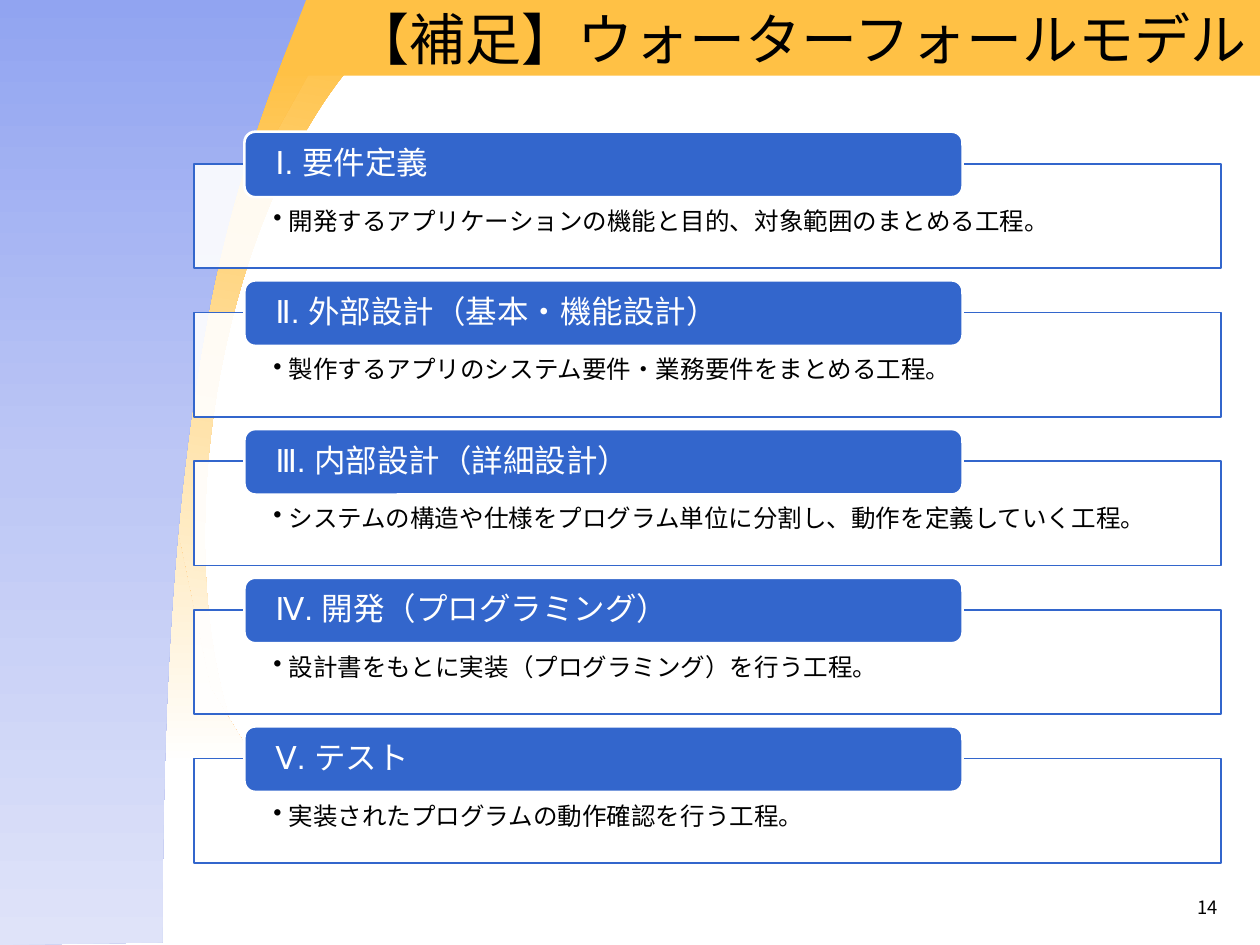
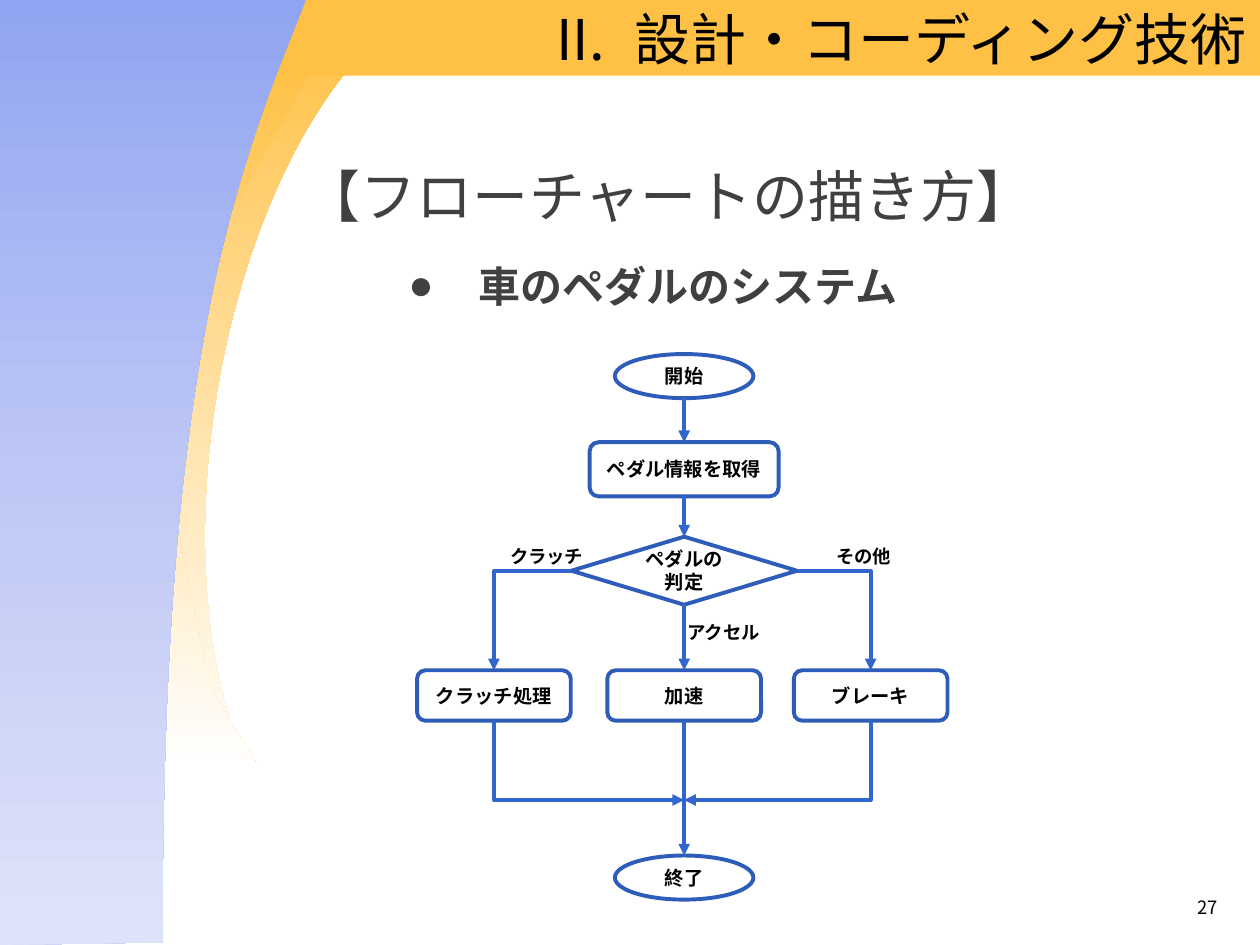
from dataclasses import dataclass
from typing import Any

from pptx import Presentation
from pptx.dml.color import RGBColor
from pptx.enum.shapes import MSO_CONNECTOR, MSO_SHAPE
from pptx.enum.text import MSO_ANCHOR, MSO_AUTO_SIZE, PP_ALIGN
from pptx.oxml import parse_xml
from pptx.oxml.ns import nsdecls, qn
from pptx.util import Inches, Pt

COLORS = {
    "amber": "FFC145", "white": "FFFFFF", "black": "000000", "grey": "404040",
    "blue": "3366CC", "outline": "2D5CB9",
    "sky": "91A4F1", "haze": "BDC7F5", "mist": "DFE3F9",
}
GOTHIC, ARIAL = "Noto Sans CJK JP", "Arial"
COLUMNS, ROWS = 100, 75
TOP, LEFT, BOTTOM, RIGHT = range(4)


@dataclass
class Anchor:
    """A place on the grid, joined to a side of a shape if one is given."""
    x: float
    y: float
    shape: Any = None
    side: int = TOP


def xml(tag, attributes="", inner=""):
    return parse_xml(f"<a:{tag} {nsdecls('a')} {attributes}>{inner}</a:{tag}>")


def bezier(p0, p1, p2, p3, steps=24):
    """Points along a cubic curve, without its first one."""
    for step in range(1, steps + 1):
        t = step / steps
        u = 1 - t
        yield tuple(u**3 * a + 3 * u * u * t * b + 3 * u * t * t * c + t**3 * d
                    for a, b, c, d in zip(p0, p1, p2, p3))


class Deck:
    def __init__(self):
        self.prs = Presentation()
        self.prs.slide_width, self.prs.slide_height = Inches(10), Inches(7.5)
        self.column = self.prs.slide_width / COLUMNS
        self.row = self.prs.slide_height / ROWS
        self.slide = None

    # Grid and style
    def emu(self, x, y):
        return round(x * self.column), round(y * self.row)

    def box(self, x, y, w, h):
        return *self.emu(x, y), *self.emu(w, h)

    def rgb(self, color):
        return RGBColor.from_string(COLORS[color])

    def paint(self, shape, fill, line=None, width=1.0, alpha=None):
        shape.shadow.inherit = False
        shape.fill.solid()
        shape.fill.fore_color.rgb = self.rgb(fill)
        if alpha:
            solid = shape.element.spPr.find(qn("a:solidFill"))
            solid[0].append(xml("alpha", f'val="{alpha * 1000}"'))
        if line:
            shape.line.color.rgb = self.rgb(line)
            shape.line.width = Pt(width)
        else:
            shape.line.fill.background()

    def fade(self, shape, *colors):
        """Fill from top to bottom with evenly spaced colours."""
        self.paint(shape, colors[0])
        shape.fill.gradient()
        shape.fill.gradient_angle = 270
        stops = shape.element.spPr.find(qn("a:gradFill")).find(qn("a:gsLst"))
        for stop in list(stops):
            stops.remove(stop)
        for i, color in enumerate(colors):
            position = round(100000 * i / (len(colors) - 1))
            stops.append(xml("gs", f'pos="{position}"',
                             f'<a:srgbClr val="{COLORS[color]}"/>'))

    def words(self, paragraph, text, size, color="black", font=GOTHIC,
              bold=False, align=PP_ALIGN.LEFT):
        paragraph.alignment = align
        run = paragraph.add_run()
        run.text = text
        run.font.size, run.font.bold = Pt(size), bold
        run.font.name = font
        run.font.color.rgb = self.rgb(color)
        latin = run.font._element.find(qn("a:latin"))
        latin.addnext(xml("ea", f'typeface="{font}"'))

    def bullet(self, paragraph, mark=None, margin=0.0, hanging=0.0):
        properties = paragraph._p.get_or_add_pPr()
        properties.set("marL", str(Inches(margin)))
        properties.set("indent", str(-Inches(hanging)))
        properties.append(mark if mark is not None else xml("buNone"))

    def frame(self, shape, anchor=MSO_ANCHOR.TOP, insets=(0.1, 0.05, 0.1, 0.05),
              wrap=True):
        text = shape.text_frame
        text.word_wrap, text.auto_size = wrap, MSO_AUTO_SIZE.NONE
        text.vertical_anchor = anchor
        (text.margin_left, text.margin_top,
         text.margin_right, text.margin_bottom) = map(Inches, insets)
        return text

    # Elements
    def shape(self, kind, *place):
        return self.slide.shapes.add_shape(kind, *self.box(*place))

    def outline(self, points):
        first, *rest = [self.emu(*point) for point in points]
        builder = self.slide.shapes.build_freeform(*first, scale=1.0)
        builder.add_line_segments(rest, close=True)
        return builder.convert_to_shape()

    def label(self, x, y, w, h, text, size, wrap=True, **style):
        label = self.slide.shapes.add_textbox(*self.box(x, y, w, h))
        self.words(self.frame(label, wrap=wrap).paragraphs[0], text, size, **style)

    def place(self, holder, *place):
        holder.left, holder.top, holder.width, holder.height = self.box(*place)

    def add_slide(self, layout, title, number, left, numbering=None):
        self.slide = self.prs.slides.add_slide(self.prs.slide_layouts[layout])
        heading = self.slide.shapes.title
        self.place(heading, left, 0, COLUMNS - left, 6.1)
        line = self.frame(heading, MSO_ANCHOR.MIDDLE).paragraphs[0]
        self.words(line, title, 32, align=PP_ALIGN.RIGHT)
        if numbering is not None:
            self.bullet(line, numbering, 0.62, 0.62)
        self.label(79.9, 70.6, 17.7, 2.9, number, 10.5, align=PP_ALIGN.RIGHT)

    def backdrop(self):
        """Draw the bands, then hand them to the slide master."""
        crescent = self.shape(MSO_SHAPE.MOON, 10.3, 2.9, 13.8, 56.7)
        crescent.rotation = 9.3
        glow = self.outline([(20.5, 60.8), (0, 60.8), (0, 5), (25, 5),
                             (15.2, 22.4), (13.6, 39.8), (16.7, 54.6)])
        for part in (crescent, glow):
            self.fade(part, "amber", "white")
        title_band = self.shape(MSO_SHAPE.RECTANGLE, 0, -0.1, COLUMNS, 6.1)
        self.paint(title_band, "amber")
        crest, bend, foot = (24.4, -0.3), (16.8, 23.5), (12.9, 74.8)
        side_band = self.outline([
            crest,
            *bezier(crest, (23.1, 3.3), (19.4, 10.9), bend),
            *bezier(bend, (14.3, 36.1), (12.9, 51), foot),
            (0, ROWS), (0, -0.3)])
        self.fade(side_band, "sky", "haze", "mist")
        master = self.prs.slide_master.shapes.element
        for i, part in enumerate((crescent, glow, title_band, side_band)):
            part.element.nvSpPr.cNvPr.set("id", str(20 + i))
            master.insert(2 + i, part.element)

    def phase(self, y, name, detail):
        panel = self.shape(MSO_SHAPE.RECTANGLE, 15.4, y, 81.5, 8.3)
        self.paint(panel, "white", "blue", 1, alpha=90)
        line = self.frame(panel, insets=(0.63, 0.36, 0.63, 0.11)).paragraphs[0]
        line.line_spacing = 0.9
        self.words(line, detail, 14, font=ARIAL)
        self.bullet(line, xml("buChar", 'char="•"'), 0.12, 0.12)

        tab = self.shape(MSO_SHAPE.ROUNDED_RECTANGLE, 19.4, y - 2.55, 57, 5.2)
        self.paint(tab, "blue", "white", 1.5)
        line = self.frame(tab, MSO_ANCHOR.MIDDLE, (0.22, 0, 0.22, 0)).paragraphs[0]
        line.line_spacing = 0.9
        self.words(line, name, 18, "white", ARIAL)

    def node(self, kind, center, y, w, h, text):
        step = self.shape(kind, center - w / 2, y, w, h)
        self.paint(step, "white", "outline", 2.25)
        line = self.frame(step, MSO_ANCHOR.MIDDLE).paragraphs[0]
        self.words(line, text, 11, bold=True, align=PP_ALIGN.CENTER)
        return step

    def side(self, shape, side):
        across, down = ((0.5, 0), (0, 0.5), (0.5, 1), (1, 0.5))[side]
        return Anchor((shape.left + across * shape.width) / self.column,
                      (shape.top + down * shape.height) / self.row, shape, side)

    def arrow(self, begin, end, bent=False, tip="tailEnd"):
        kind = MSO_CONNECTOR.ELBOW if bent else MSO_CONNECTOR.STRAIGHT
        link = self.slide.shapes.add_connector(
            kind, *self.emu(begin.x, begin.y), *self.emu(end.x, end.y))
        if begin.shape is not None:
            link.begin_connect(begin.shape, begin.side)
        if end.shape is not None:
            link.end_connect(end.shape, end.side)
        link.line.color.rgb = self.rgb("blue")
        link.line.width = Pt(2.25)
        properties = link.element.spPr
        if bent:
            properties.find(qn("a:prstGeom")).set("prst", "bentConnector2")
        properties.find(qn("a:ln")).append(xml(tip, 'type="triangle"'))
        properties.append(xml("effectLst"))


def waterfall_slide(deck):
    deck.add_slide(5, "【補足】ウォーターフォールモデル", "14", left=24.8)
    deck.backdrop()
    phases = [
        ("Ⅰ. 要件定義", "開発するアプリケーションの機能と目的、対象範囲のまとめる工程。"),
        ("Ⅱ. 外部設計（基本・機能設計）",
         "製作するアプリのシステム要件・業務要件をまとめる工程。"),
        ("Ⅲ. 内部設計（詳細設計）",
         "システムの構造や仕様をプログラム単位に分割し、動作を定義していく工程。"),
        ("Ⅳ. 開発（プログラミング）", "設計書をもとに実装（プログラミング）を行う工程。"),
        ("Ⅴ. テスト", "実装されたプログラムの動作確認を行う工程。"),
    ]
    for i, (name, detail) in enumerate(phases):
        deck.phase(13 + 11.8 * i, name, detail)


def flowchart_slide(deck):
    deck.add_slide(1, "設計・コーディング技術", "27", left=23.2,
                   numbering=xml("buAutoNum", 'type="romanUcPeriod" startAt="2"'))

    # Heading and topic
    body = deck.slide.placeholders[1]
    deck.place(body, 23.2, 12.3, 74, 14.2)
    text = deck.frame(body)
    heading, topic = text.paragraphs[0], text.add_paragraph()
    heading.space_before, topic.space_before = Pt(12), Pt(18)
    topic.level = 1
    deck.words(heading, "【フローチャートの描き方】", 32, "grey")
    deck.bullet(heading)
    deck.words(topic, "車のペダルのシステム", 24, "grey", bold=True)
    deck.bullet(topic, xml("buChar", 'char="●"'), 1.38, 0.56)

    # Steps
    oval, process = MSO_SHAPE.FLOWCHART_CONNECTOR, MSO_SHAPE.FLOWCHART_ALTERNATE_PROCESS
    middle, merge_y = 54.3, 63.5
    start = deck.node(oval, middle, 28.1, 11, 3.5, "開始")
    read = deck.node(process, middle, 35.1, 15, 4.3, "ペダル情報を取得")
    judge = deck.node(MSO_SHAPE.FLOWCHART_DECISION, middle, 42.6, 17.9, 5.4,
                      "ペダルの判定")
    clutch, speed_up, brake = [
        deck.node(process, center, 53.2, 12.2, 4, text)
        for center, text in ((39.2, "クラッチ処理"), (middle, "加速"), (69.1, "ブレーキ"))]
    finish = deck.node(oval, middle, 67.9, 11, 3.5, "終了")

    # Main line
    start_foot = deck.side(start, BOTTOM)
    deck.arrow(Anchor(start_foot.x, start_foot.y), deck.side(read, TOP))
    for upper, lower in ((read, judge), (judge, speed_up), (speed_up, finish)):
        deck.arrow(deck.side(upper, BOTTOM), deck.side(lower, TOP))

    # Branches and their return to the main line
    for exit_side, branch in ((LEFT, clutch), (RIGHT, brake)):
        deck.arrow(deck.side(judge, exit_side), deck.side(branch, TOP), bent=True)
        deck.arrow(Anchor(middle, merge_y), deck.side(branch, BOTTOM), bent=True,
                   tip="headEnd")

    # Branch labels
    deck.label(39.5, 42.8, 7.9, 2.8, "クラッチ", 10.5, wrap=False, bold=True)
    deck.label(53.6, 48.8, 9.7, 2.8, "アクセル", 10.5, bold=True)
    deck.label(65.4, 42.8, 9.4, 2.8, "その他", 10.5, bold=True)


def main():
    deck = Deck()
    waterfall_slide(deck)
    flowchart_slide(deck)
    deck.prs.save("out.pptx")


if __name__ == "__main__":
    main()
